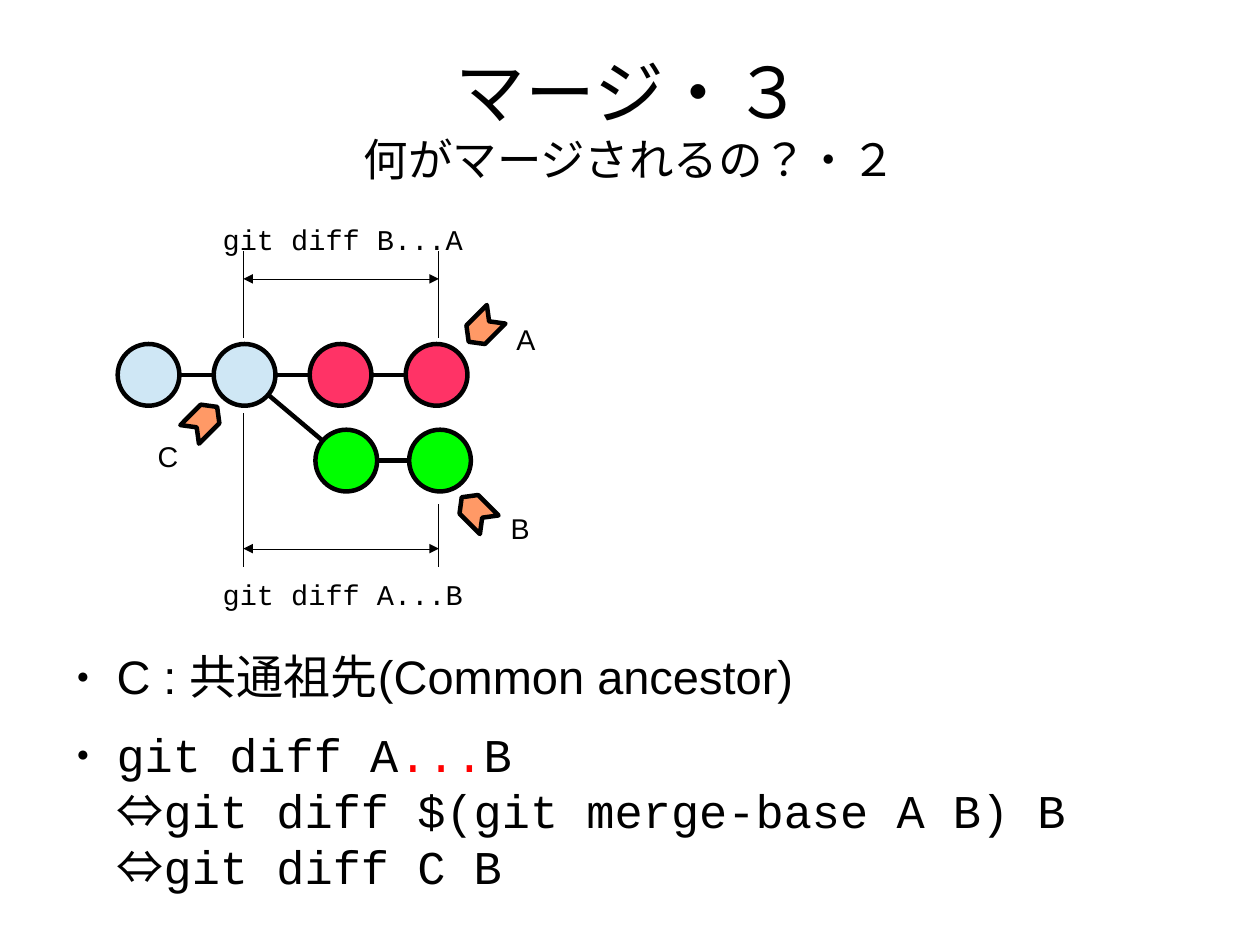
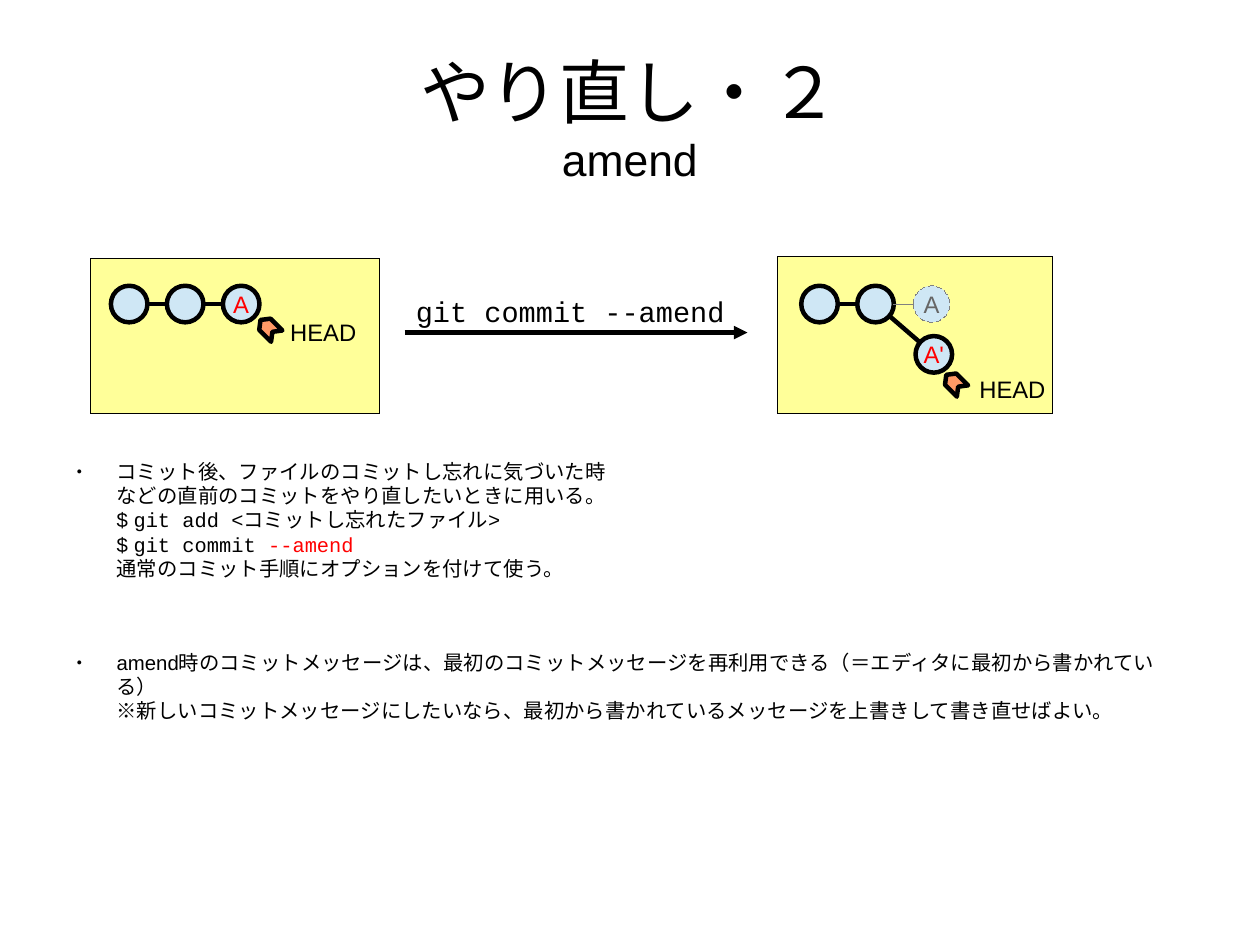
from math import hypot

from lxml.etree import SubElement
from pptx import Presentation
from pptx.dml.color import RGBColor
from pptx.enum.dml import MSO_LINE
from pptx.enum.lang import MSO_LANGUAGE_ID as LANGUAGE
from pptx.enum.shapes import MSO_CONNECTOR, MSO_SHAPE
from pptx.enum.text import MSO_ANCHOR, MSO_AUTO_SIZE, PP_ALIGN
from pptx.oxml.ns import qn
from pptx.util import Cm, Inches, Pt

COLORS = {
    "ink": "000000", "paper": "FFFFFF", "red": "FF0000",
    "commit": "CFE7F5", "branch_a": "FF3366", "branch_b": "00FF00",
    "tag": "FF9966", "panel": "FFFF99", "faded_line": "808080", "faded_text": "666666",
}
SANS, MONO, SYMBOL = "Arial", "Courier New", "Noto Sans CJK JP"
THICK, HAIRLINE = 2.83, 0
LINE_PITCH = 1.19
PARAGRAPH_GAP = 14.2


def rgb(name):
    return RGBColor.from_string(COLORS[name])


def set_font(font, size=None, name=None, color=None):
    if size:
        font.size = Pt(size)
    if name:
        font.name = name
    if color:
        font.color.rgb = rgb(color)


def set_margins(frame, x=0, y=0):
    frame.margin_left = frame.margin_right = Inches(x)
    frame.margin_top = frame.margin_bottom = Inches(y)


def add_runs(paragraph, runs):
    """Add (text, font settings) pairs; a newline in a text is a line break."""
    for text, settings in runs:
        for index, line in enumerate(text.split("\n")):
            if index:
                paragraph.add_line_break()
            if line:
                run = paragraph.add_run()
                run.text = line
                run.font.language_id = LANGUAGE.JAPANESE
                set_font(run.font, **settings)


def set_outline(shape, color, width):
    """Outline without the theme style, which would widen hairlines."""
    shape._element.remove(shape._element.find(qn("p:style")))
    shape.line.color.rgb = rgb(color)
    shape.line.width = Pt(width)


def paint(shape, fill, line, width):
    shape.shadow.inherit = False
    shape.fill.solid()
    shape.fill.fore_color.rgb = rgb(fill)
    set_outline(shape, line, width)


class Diagram:
    """Draws commits, links and labels relative to its top-left corner."""

    def __init__(self, slide, left, top, commit_size=0.54, tag_size=(0.34, 0.23)):
        self.shapes = slide.shapes
        self.left, self.top = left, top
        self.commit_size, self.tag_size = commit_size, tag_size

    def at(self, x, y):
        return Inches(self.left + x), Inches(self.top + y)

    def panel(self, width, height):
        panel = self.shapes.add_shape(
            MSO_SHAPE.RECTANGLE, *self.at(0, 0), Inches(width), Inches(height))
        paint(panel, "panel", "ink", HAIRLINE)

    def commit(self, center, fill="commit", text="", text_color="red", faded=False):
        x, y = center
        size = self.commit_size
        commit = self.shapes.add_shape(
            MSO_SHAPE.OVAL, *self.at(x - size / 2, y - size / 2), Inches(size), Inches(size))
        if faded:
            paint(commit, fill, "faded_line", HAIRLINE)
            commit.line.dash_style = MSO_LINE.DASH
        else:
            paint(commit, fill, "ink", THICK)
        if text:
            frame = commit.text_frame
            frame.word_wrap = False
            frame.vertical_anchor = MSO_ANCHOR.MIDDLE
            set_margins(frame, 0.1, 0.05)
            letter = frame.paragraphs[0]
            letter.text = text
            letter.alignment = PP_ALIGN.CENTER
            set_font(letter.font, 15, SANS, text_color)

    def line(self, start, end, width=HAIRLINE, color="ink", heads=()):
        line = self.shapes.add_connector(
            MSO_CONNECTOR.STRAIGHT, *self.at(*start), *self.at(*end))
        set_outline(line, color, width)
        outline = line.line._get_or_add_ln()
        for head in heads:
            SubElement(outline, qn(f"a:{head}"), type="triangle")
        SubElement(line._element.spPr, qn("a:effectLst"))

    def link(self, first, second, width=THICK, color="ink"):
        """Join the rims of two commits given by their centres."""
        dx, dy = second[0] - first[0], second[1] - first[1]
        share = self.commit_size / 2 / hypot(dx, dy)
        self.line((first[0] + dx * share, first[1] + dy * share),
                  (second[0] - dx * share, second[1] - dy * share), width, color)

    def tag(self, center, rotation):
        width, height = self.tag_size
        tag = self.shapes.add_shape(
            MSO_SHAPE.CHEVRON, *self.at(center[0] - width / 2, center[1] - height / 2),
            Inches(width), Inches(height))
        tag.adjustments[0] = 0.38
        tag.rotation = rotation
        paint(tag, "tag", "ink", THICK)

    def label(self, position, text, width, size=18, font=SANS):
        label = self.shapes.add_textbox(*self.at(*position), Inches(width), Inches(0.38))
        label.text_frame.word_wrap = False
        set_margins(label.text_frame, 0.1, 0.05)
        words = label.text_frame.paragraphs[0]
        words.text = text
        set_font(words.font, size, font, "ink")


def add_titled_slide(prs, heading, subtitle):
    slide = prs.slides.add_slide(prs.slide_layouts[5])
    title = slide.shapes.title
    title.left, title.top = Inches(0.55), Inches(0.3)
    title.width, title.height = Inches(9.92), Inches(1.45)
    frame = title.text_frame
    frame.word_wrap = True
    frame.auto_size = MSO_AUTO_SIZE.NONE
    frame.vertical_anchor = MSO_ANCHOR.MIDDLE
    set_margins(frame)
    paragraph = frame.paragraphs[0]
    paragraph.alignment = PP_ALIGN.CENTER
    set_font(paragraph.font, 44, SANS, "ink")
    add_runs(paragraph, [(heading + "\n", {}), (subtitle, {"size": 28})])
    return slide


def add_bullet(paragraph):
    props = paragraph._p.get_or_add_pPr()
    props.set("marL", str(Inches(0.47)))
    props.set("indent", str(Inches(-0.35)))
    SubElement(SubElement(props, qn("a:buClr")), qn("a:srgbClr"), val=COLORS["ink"])
    SubElement(props, qn("a:buSzPct"), val="45000")
    SubElement(props, qn("a:buFont"), typeface=SANS)
    SubElement(props, qn("a:buChar"), char="●")


def add_body(slide, top, height, size, items, gap=PARAGRAPH_GAP):
    body = slide.shapes.add_textbox(Inches(0.55), Inches(top), Inches(9.7), Inches(height))
    frame = body.text_frame
    frame.word_wrap = True
    set_margins(frame)
    for index, runs in enumerate(items):
        item = frame.add_paragraph() if index else frame.paragraphs[0]
        add_bullet(item)
        item.line_spacing = Pt(size * LINE_PITCH)
        item.space_after = Pt(gap)
        set_font(item.font, size, SANS, "ink")
        add_runs(item, runs)


def draw_merge_diagram(slide, left, top):
    diagram = Diagram(slide, left, top)
    # Commits: trunk with branch A in one row, branch B below
    trunk = [(0.3 + 0.84 * i, 1.38) for i in range(4)]
    branch_b = [(2.03 + 0.82 * i, 2.13) for i in range(2)]
    for row in (trunk, [trunk[1]] + branch_b):
        for first, second in zip(row, row[1:]):
            diagram.link(first, second)
    fills = ["commit"] * 2 + ["branch_a"] * 2 + ["branch_b"] * 2
    for center, fill in zip(trunk + branch_b, fills):
        diagram.commit(center, fill)

    # Named tags
    for name, center, rotation, position in (
            ("A", (3.22, 0.97), 135, (3.42, 0.87)),
            ("B", (3.16, 2.57), 225, (3.37, 2.52)),
            ("C", (0.78, 1.78), 315, (0.28, 1.89))):
        diagram.tag(center, rotation)
        diagram.label(position, name, 0.43)

    # Diff ranges above and below
    start, end = 1.13, 2.84
    for command, label_y, arrow_y, start_span, end_span in (
            ("git diff B...A", -0.01, 0.54, (0.3, 1.05), (0.3, 1.05)),
            ("git diff A...B", 3.1, 2.9, (1.72, 3.06), (2.51, 3.06))):
        for x, (upper, lower) in ((start, start_span), (end, end_span)):
            diagram.line((x, upper), (x, lower))
        diagram.line((start, arrow_y), (end, arrow_y), heads=("headEnd", "tailEnd"))
        diagram.label((0.85, label_y), command, 2.3, font=MONO)


def draw_history_panel(slide, left, top, width, height, first_commit, amended):
    diagram = Diagram(slide, left, top, commit_size=0.32, tag_size=(0.2, 0.14))
    diagram.panel(width, height)
    x, y = first_commit
    first, second, last = [(x + 0.49 * i, y) for i in range(3)]
    diagram.link(first, second)
    diagram.commit(first)
    diagram.commit(second)
    if amended:
        head, head_text = (last[0] + 0.02, y + 0.44), "A'"
        tag_offset, label_offset = (0.18, 0.25), (0.3, 0.13)
        diagram.link(second, last, HAIRLINE, "faded_line")
        diagram.commit(last, text="A", text_color="faded_text", faded=True)
    else:
        head, head_text = last, "A"
        tag_offset, label_offset = (0.24, 0.21), (0.33, 0.07)
    diagram.link(second, head)
    diagram.commit(head, text=head_text)
    diagram.tag((head[0] + tag_offset[0], head[1] + tag_offset[1]), 225)
    diagram.label((head[0] + label_offset[0], head[1] + label_offset[1]), "HEAD", 0.83, 15)


def draw_command_arrow(slide, left, top, width):
    step = Diagram(slide, left, top)
    step.label((0, 0), "git commit --amend", 2.9, font=MONO)
    step.line((0, 0.39), (width, 0.39), THICK, heads=("tailEnd",))


def build_merge_slide(prs):
    slide = add_titled_slide(prs, "マージ・３", "何がマージされるの？・２")
    draw_merge_diagram(slide, 1.0, 1.9)
    mono, symbol = {"name": MONO}, {"name": SYMBOL}
    add_body(slide, 5.67, 2.2, 29.6, [
        [("C : 共通祖先(Common ancestor)", {})],
        [("git diff A", mono), ("...", {"name": MONO, "color": "red"}), ("B\n", mono),
         ("⇔", symbol), ("git diff $(git merge-base A B) B\n", mono),
         ("⇔", symbol), ("git diff C B", mono)],
    ])


def build_amend_slide(prs):
    slide = add_titled_slide(prs, "やり直し・２", "amend")
    draw_history_panel(slide, 0.79, 2.26, 2.53, 1.36, (0.34, 0.4), amended=False)
    draw_command_arrow(slide, 3.54, 2.52, 3.0)
    draw_history_panel(slide, 6.8, 2.24, 2.41, 1.38, (0.37, 0.42), amended=True)
    mono = {"name": MONO}
    add_body(slide, 4.02, 2.6, 12.8, [
        [("コミット後、ファイルのコミットし忘れに気づいた時\n"
          "などの直前のコミットをやり直したいときに用いる。\n$ ", {}),
         ("git add <コミットし忘れたファイル>\n", mono),
         ("$ ", {}), ("git commit ", mono), ("--amend\n", {"name": MONO, "color": "red"}),
         ("通常のコミット手順にオプションを付けて使う。", {})],
        [("amend時のコミットメッセージは、最初のコミットメッセージを再利用できる"
          "（＝エディタに最初から書かれている）\n"
          "※新しいコミットメッセージにしたいなら、"
          "最初から書かれているメッセージを上書きして書き直せばよい。", {})],
    ], gap=44)


def main():
    prs = Presentation()
    prs.slide_width = Cm(28)
    prs.slide_height = Cm(21)
    # Shared background and East Asian font
    background = prs.slide_master.background.fill
    background.solid()
    background.fore_color.rgb = rgb("paper")
    for styles in (prs.element, prs.slide_master.element):
        for east_asian in styles.iter(qn("a:ea")):
            east_asian.set("typeface", SANS)
    build_merge_slide(prs)
    build_amend_slide(prs)
    prs.save("out.pptx")


if __name__ == "__main__":
    main()
